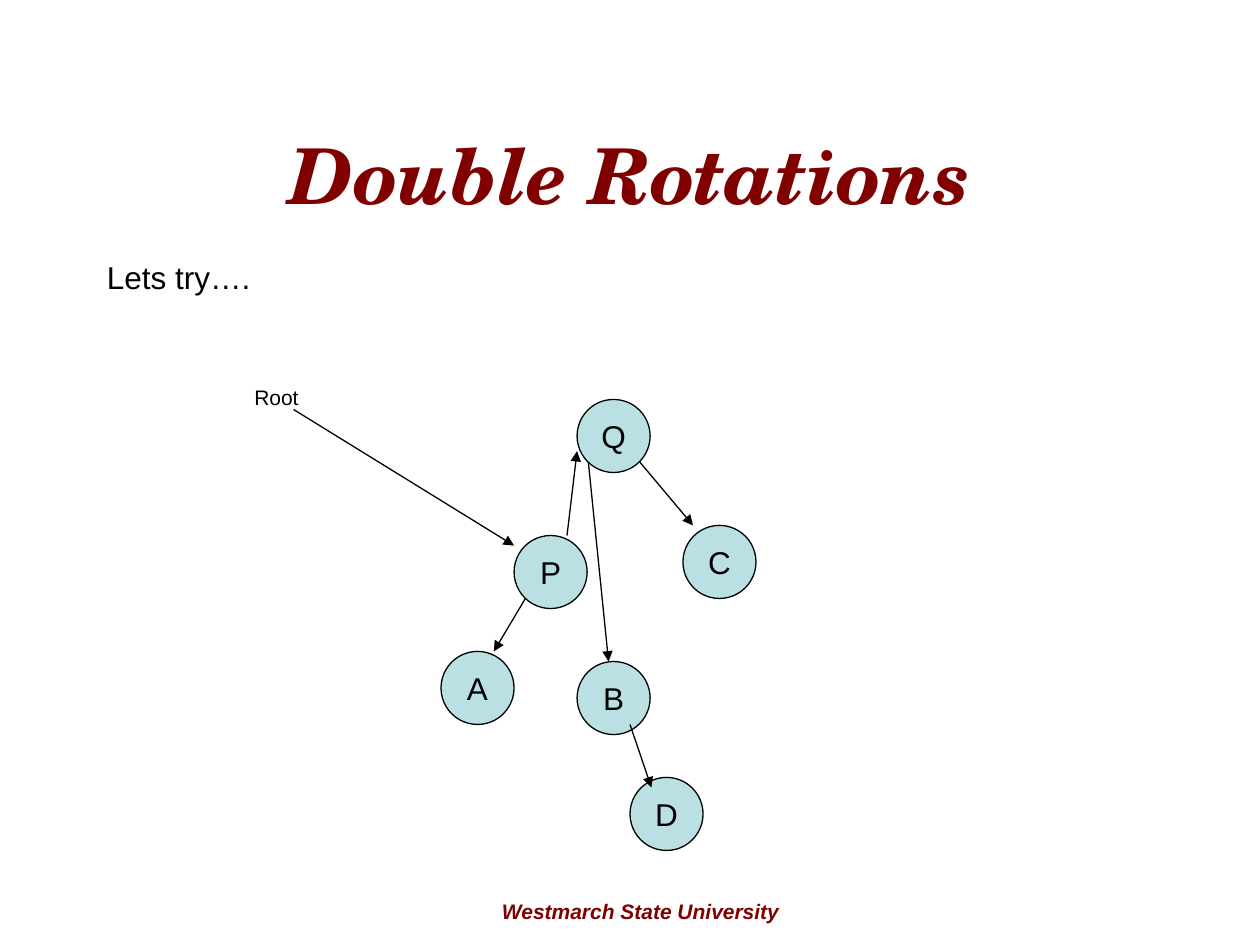
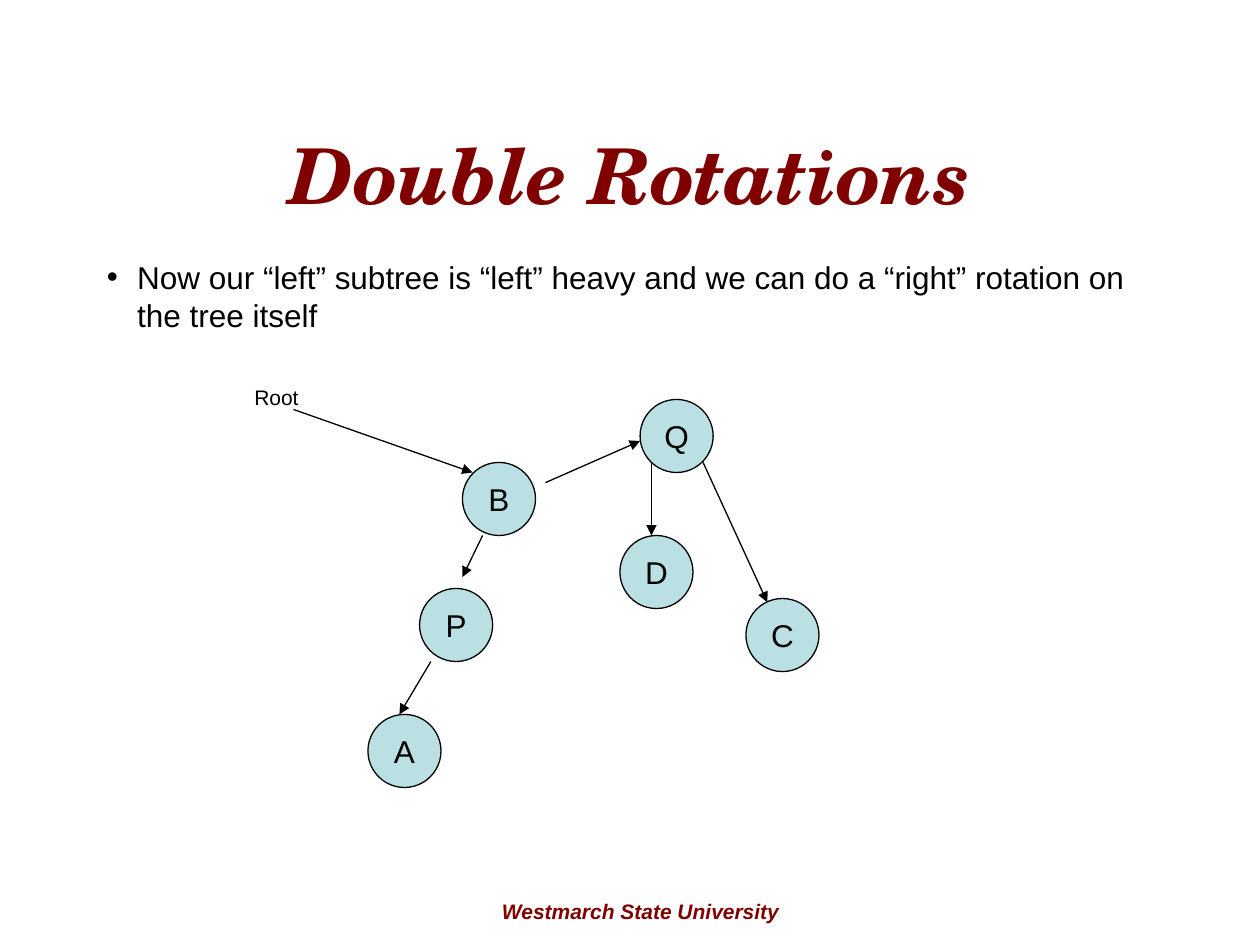
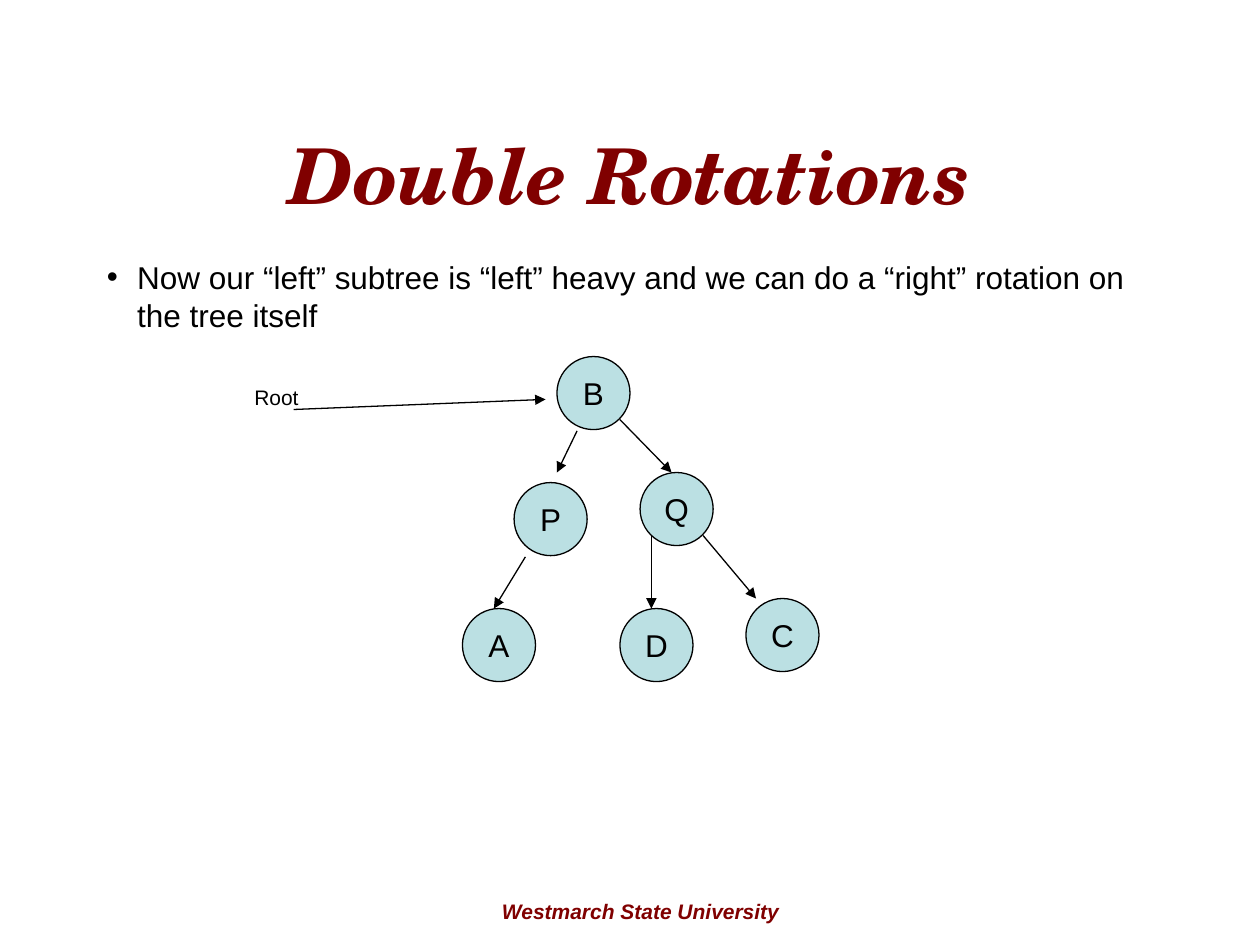
from lxml.etree import SubElement
from pptx import Presentation
from pptx.dml.color import RGBColor
from pptx.enum.shapes import MSO_CONNECTOR as Connector, MSO_SHAPE as Preset
from pptx.enum.text import MSO_ANCHOR as Anchor, PP_ALIGN as Align
from pptx.oxml.ns import qn
from pptx.util import Inches, Pt

MAROON, BLACK, NODE_FILL = "800000", "000000", "BBE0E3"
BODY_FONT, TITLE_FONT = "Arial", "TeX Gyre Schola"
NODE_SIZE = 0.58
LINE_WIDTH = 0.75
HANGING = 0.24
ROOT_END = (2.33, 3.25)
RIGHT_ROTATION = (
    "Now our “left” subtree is “left” heavy and we can do a “right” rotation on the tree itself"
)

STEPS = [
    {
        "message": "Lets try….",
        "bullet": False,
        "nodes": {"Q": (4.58, 3.17), "P": (4.08, 4.25), "A": (3.5, 5.17),
                  "B": (4.58, 5.25), "C": (5.42, 4.17), "D": (5, 6.17)},
        "root_target": (4.08, 4.33),
        "links": [((4.67, 3.67), (4.83, 5.25)), ((4.17, 4.75), (3.92, 5.17)),
                  ((4.5, 4.25), (4.58, 3.58)), ((5.08, 3.67), (5.5, 4.17)),
                  ((5, 5.75), (5.17, 6.25))],
    },
    {
        "message": RIGHT_ROTATION,
        "bullet": True,
        "nodes": {"Q": (5.08, 3.17), "P": (3.33, 4.67), "A": (2.92, 5.67),
                  "B": (3.67, 3.67), "C": (5.92, 4.75), "D": (4.92, 4.25)},
        "root_target": (3.75, 3.75),
        "links": [((5.17, 3.67), (5.17, 4.25)), ((3.42, 5.25), (3.17, 5.67)),
                  ((3.83, 4.25), (3.67, 4.58)), ((5.58, 3.67), (6.09, 4.78)),
                  ((4.33, 3.83), (5.08, 3.5))],
    },
    {
        "message": RIGHT_ROTATION,
        "bullet": True,
        "nodes": {"Q": (5.08, 3.75), "P": (4.08, 3.83), "A": (3.67, 4.83),
                  "B": (4.42, 2.83), "C": (5.92, 4.75), "D": (4.92, 4.83)},
        "root_target": (4.33, 3.17),
        "links": [((5.17, 4.25), (5.17, 4.83)), ((4.17, 4.42), (3.92, 4.83)),
                  ((4.58, 3.42), (4.42, 3.75)), ((5.58, 4.25), (6, 4.75)),
                  ((4.92, 3.33), (5.33, 3.75))],
    },
]


def color(value):
    return RGBColor.from_string(value)


def write(frame, text, size=18, font=BODY_FONT, ink=BLACK, strong=False,
          align=Align.LEFT, anchor=Anchor.TOP, before=0, wrap=True, bullet=False):
    frame.word_wrap = wrap
    frame.vertical_anchor = anchor
    paragraph = frame.paragraphs[0]
    paragraph.alignment = align
    paragraph.space_before = Pt(before)
    run = paragraph.add_run()
    run.text = text
    run.font.name = font
    run.font.size = Pt(size)
    run.font.bold = run.font.italic = strong
    run.font.color.rgb = color(ink)
    if bullet:
        add_bullet(paragraph)


def add_bullet(paragraph):
    properties = paragraph._p.get_or_add_pPr()
    properties.set("marL", str(Inches(HANGING)))
    properties.set("indent", str(-Inches(HANGING)))
    SubElement(properties, qn("a:buFont")).set("typeface", BODY_FONT)
    SubElement(properties, qn("a:buChar")).set("char", "•")


def add_label(slide, text, left, top, width, height, **style):
    label = slide.shapes.add_textbox(*map(Inches, (left, top, width, height)))
    write(label.text_frame, text, **style)


def add_node(slide, letter, left, top):
    node = slide.shapes.add_shape(
        Preset.OVAL, *map(Inches, (left, top, NODE_SIZE, NODE_SIZE)))
    node.shadow.inherit = False
    node.fill.solid()
    node.fill.fore_color.rgb = color(NODE_FILL)
    node.line.color.rgb = color(BLACK)
    node.line.width = Pt(LINE_WIDTH)
    write(node.text_frame, letter, align=Align.CENTER, anchor=Anchor.MIDDLE, wrap=False)


def add_arrow(slide, start, end):
    arrow = slide.shapes.add_connector(Connector.STRAIGHT, *map(Inches, start + end))
    arrow.line.color.rgb = color(BLACK)
    arrow.line.width = Pt(LINE_WIDTH)
    properties = arrow._element.spPr
    SubElement(properties.find(qn("a:ln")), qn("a:tailEnd")).set("type", "triangle")
    SubElement(properties, qn("a:effectLst"))


def add_frame(slide):
    add_label(slide, "Westmarch State University", 3.5, 7.08, 3.17, 0.3, size=12,
              ink=MAROON, strong=True, align=Align.CENTER, before=7.5)
    add_label(slide, "Double Rotations", 0.5, 0.75, 9, 1.25, size=44, font=TITLE_FONT,
              ink=MAROON, strong=True, align=Align.CENTER, anchor=Anchor.MIDDLE)


def add_tree(slide, nodes, root_target, links):
    for letter, corner in nodes.items():
        add_node(slide, letter, *corner)
    add_label(slide, "Root", 1.92, 3, 0.67, 0.3, size=12, before=7.5)
    for start, end in [(ROOT_END, root_target), *links]:
        add_arrow(slide, start, end)


def main():
    deck = Presentation()
    deck.slide_width, deck.slide_height = Inches(10), Inches(7.5)
    for step in STEPS:
        slide = deck.slides.add_slide(deck.slide_layouts[6])
        add_frame(slide)
        add_label(slide, step["message"], 0.75, 2, 8.58, 0.7 if step["bullet"] else 0.4,
                  before=11.2, bullet=step["bullet"])
        add_tree(slide, step["nodes"], step["root_target"], step["links"])
    deck.save("out.pptx")


if __name__ == "__main__":
    main()
